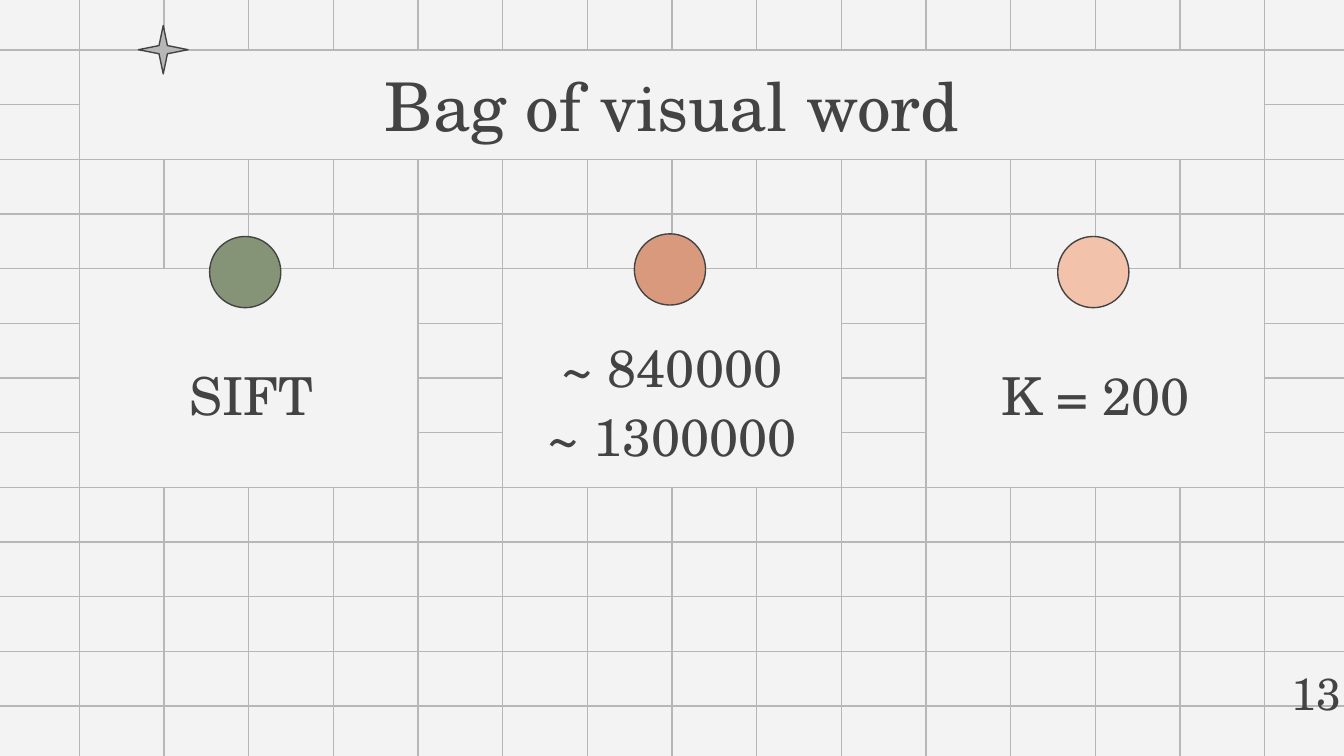
"""Build the "Bag of visual word" slide: three pinned cards on a ruled grid."""
from lxml import etree
from pptx import Presentation
from pptx.dml.color import RGBColor
from pptx.enum.shapes import MSO_CONNECTOR, MSO_SHAPE
from pptx.enum.text import MSO_ANCHOR, MSO_AUTO_SIZE, PP_ALIGN
from pptx.oxml.ns import qn
from pptx.util import Inches, Pt

STRAIGHT = MSO_CONNECTOR.STRAIGHT
RECTANGLE, OVAL, STAR = MSO_SHAPE.RECTANGLE, MSO_SHAPE.OVAL, MSO_SHAPE.STAR_4_POINT
MIDDLE, NO_AUTOFIT = MSO_ANCHOR.MIDDLE, MSO_AUTO_SIZE.NONE
CENTER, LEFT = PP_ALIGN.CENTER, PP_ALIGN.LEFT

FONT = "TeX Gyre Schola"
COLORS = {
    "paper": "F3F3F3",
    "rule": "B7B7B7",
    "ink": "434343",
    "green": "859477",
    "clay": "D9997D",
    "peach": "F2C2AB",
}
WIDTH = 10
HEIGHT = WIDTH * 9 / 16
COL, ROW = 0.63, 4.88 / 12
COLUMNS = [WIDTH / 2 + COL * i for i in range(-7, 8)]
ROWS = [HEIGHT / 2 + ROW * i for i in range(-6, 7)]
BLEED = 0.04
PIN = 0.53
LABEL_HEIGHT = 0.4


def paint(shape, fill, line):
    shape.fill.solid()
    shape.fill.fore_color.rgb = RGBColor.from_string(COLORS[fill])
    shape.line.color.rgb = RGBColor.from_string(COLORS[line])
    shape.line.width = Pt(0.75)


def write(shape, text, size, align=CENTER):
    frame = shape.text_frame
    frame.text = text
    frame.word_wrap = True
    frame.auto_size = NO_AUTOFIT
    frame.vertical_anchor = MIDDLE
    frame.margin_left = frame.margin_right = Inches(0.1)
    frame.margin_top = frame.margin_bottom = Inches(0.1)
    paragraph = frame.paragraphs[0]
    paragraph.alignment = align
    font = paragraph.runs[0].font
    font.name = FONT
    font.size = Pt(size)
    font.color.rgb = RGBColor.from_string(COLORS["ink"])


prs = Presentation()
prs.slide_width, prs.slide_height = Inches(WIDTH), Inches(HEIGHT)
slide = prs.slides.add_slide(prs.slide_layouts[5])
shapes = slide.shapes
slide.background.fill.solid()
slide.background.fill.fore_color.rgb = RGBColor.from_string(COLORS["paper"])

halves_down = [(-BLEED, HEIGHT / 2), (HEIGHT / 2, HEIGHT + BLEED)]
halves_across = [(-BLEED, WIDTH / 2), (WIDTH / 2, WIDTH + BLEED)]
rules = [(x, top, x, bottom) for top, bottom in halves_down for x in COLUMNS]
rules += [(left, y, right, y) for left, right in halves_across for y in ROWS]
for ends in rules:
    rule = shapes.add_connector(STRAIGHT, *[Inches(end) for end in ends])
    rule.line.color.rgb = RGBColor.from_string(COLORS["rule"])
    rule.line.width = Pt(0.75)
    etree.SubElement(rule.element.spPr, qn("a:effectLst"))

title = shapes.title
title.element.getparent().append(title.element)
title.left, title.top = Inches(COLUMNS[0]), Inches(ROWS[0])
title.width, title.height = Inches(14 * COL), Inches(2 * ROW)
paint(title, "paper", "rule")
write(title, "Bag of visual word", 36)

cards = [
    (0, "green", 1.56, 1.76, 0.82, 2.1, [("SIFT", 2.74)]),
    (5, "clay", 4.72, 1.74, 3.88, 2.24, [("~ 840000", 2.53), ("~ 1300000", 3.04)]),
    (10, "peach", 7.87, 1.76, 7.1, 2.1, [("K = 200", 2.74)]),
]
for column, pin_color, pin_left, pin_top, label_left, label_width, labels in cards:
    card = shapes.add_shape(RECTANGLE, Inches(COLUMNS[column]), Inches(ROWS[4]),
                            Inches(4 * COL), Inches(4 * ROW))
    pin = shapes.add_shape(OVAL, Inches(pin_left), Inches(pin_top), Inches(PIN), Inches(PIN))
    for part, fill, line in [(card, "paper", "rule"), (pin, pin_color, "ink")]:
        part.shadow.inherit = False
        paint(part, fill, line)
    for text, top in labels:
        label = shapes.add_textbox(Inches(label_left), Inches(top),
                                   Inches(label_width), Inches(LABEL_HEIGHT))
        write(label, text, 28)

star = shapes.add_shape(STAR, Inches(1.03), Inches(0.19), Inches(0.37), Inches(0.36))
star.adjustments[0] = 0.12
star.shadow.inherit = False
paint(star, "rule", "ink")

page_number = shapes.add_textbox(Inches(9.51), Inches(4.95), Inches(0.57), Inches(LABEL_HEIGHT))
write(page_number, "13", 24, LEFT)

prs.save("out.pptx")
